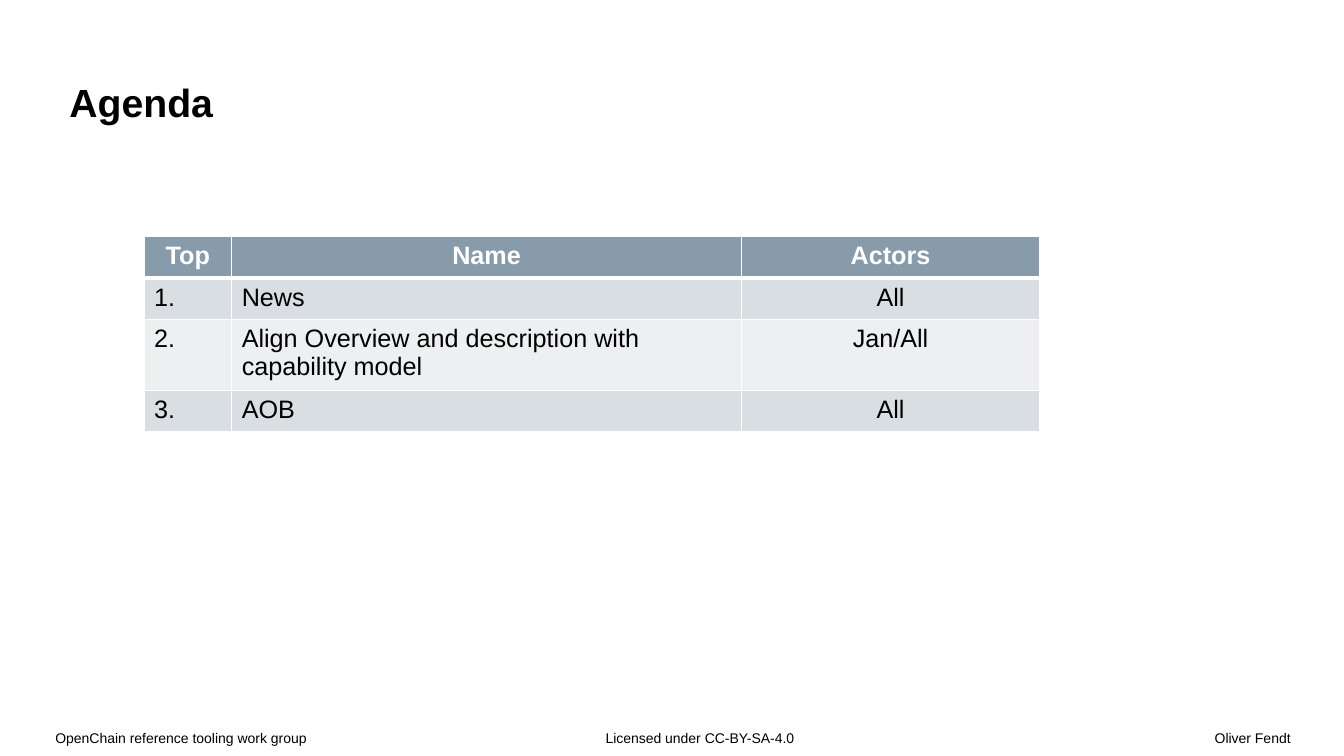
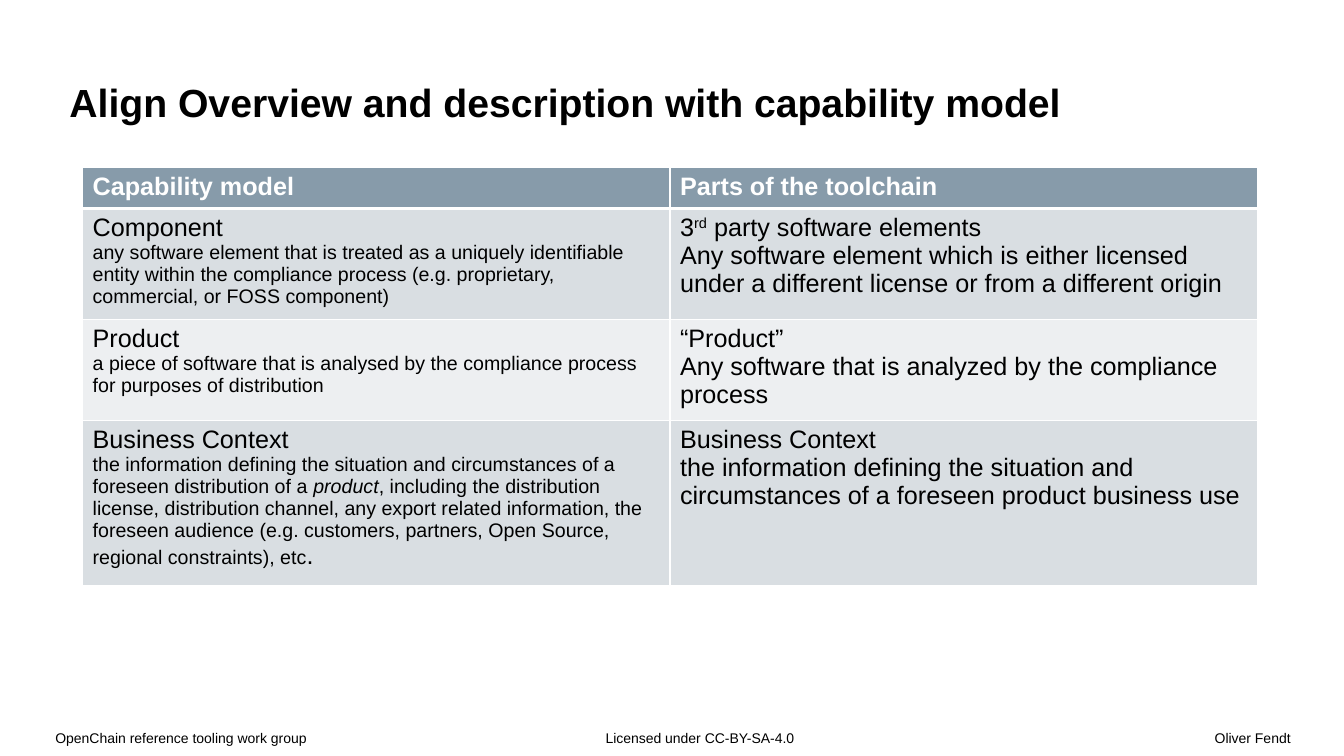
from dataclasses import dataclass

from lxml import etree
from pptx import Presentation
from pptx.dml.color import RGBColor
from pptx.enum.text import MSO_ANCHOR, PP_ALIGN
from pptx.oxml.ns import qn
from pptx.util import Inches, Pt

LEFT, MID, RIGHT = PP_ALIGN.LEFT, PP_ALIGN.CENTER, PP_ALIGN.RIGHT
TOP, BOTTOM = MSO_ANCHOR.TOP, MSO_ANCHOR.BOTTOM


@dataclass(frozen=True)
class Theme:
    font: str = "Arial"
    ink: str = "000000"
    white: str = "FFFFFF"
    head: str = "879BAA"
    bands: tuple = ("D9DEE2", "EDEFF1")
    title: int = 28
    body: int = 18
    small: int = 14
    foot: int = 10
    thin: int = 1
    thick: int = 3


T = Theme()

# Text styles: font values, plus colour and baseline
STYLES = {
    "title": {"size": Pt(T.title), "bold": True},
    "head": {"size": Pt(T.body), "bold": True, "color": T.white},
    "body": {"size": Pt(T.body), "bold": False},
    "small": {"size": Pt(T.small), "bold": False},
    "italic": {"size": Pt(T.small), "bold": False, "italic": True},
    "super": {"size": Pt(T.body), "bold": False, "base": 30000},
    "foot": {"size": Pt(T.foot)},
}

# Footer parts: text, box, side insets, alignment
FOOTS = [
    ("OpenChain reference tooling work group", (0.31, 7.22, 3.4, 0.28), (0.24, 0), LEFT),
    ("Licensed under CC-BY-SA-4.0", (5.32, 7.22, 3.01, 0.28), (0.69, 0), LEFT),
    ("Oliver Fendt", (4.14, 7.22, 9.2, 0.28), (0, 0.53), RIGHT),
]

AGENDA = [
    ["Top", "Name", "Actors"],
    ["1.", "News", "All"],
    ["2.", "Align Overview and description with capability model", "Jan/All"],
    ["3.", "AOB", "All"],
]

# A cell is plain text or a list of paragraphs; a paragraph is text or runs
MODEL = [
    ["Capability model", "Parts of the toolchain"],
    [
        ["Component",
         [("any software element that is treated as a uniquely identifiable entity "
           "within the compliance process (e.g. proprietary, commercial, or FOSS "
           "component)", "small")]],
        [[("3", "body"), ("rd", "super"), (" party software elements", "body")],
         "Any software element which is either licensed under a different license "
         "or from a different origin"],
    ],
    [
        ["Product",
         [("a piece of software that is analysed by the compliance process for "
           "purposes of distribution", "small")]],
        ["“Product”", "Any software that is analyzed by the compliance process"],
    ],
    [
        ["Business Context",
         [("the information defining the situation and circumstances of a foreseen "
           "distribution of a ", "small"),
          ("product", "italic"),
          (", including the distribution license, distribution channel, any export "
           "related information, the foreseen audience (e.g. customers, partners, "
           "Open Source, regional constraints), etc", "small"),
          (".", "body")]],
        ["Business Context",
         "the information defining the situation and circumstances of a foreseen "
         "product business use"],
    ],
]


def add_run(para, text, style):
    run = para.add_run()
    run.text = text
    look = {"name": T.font, **STYLES[style]}
    color, base = look.pop("color", T.ink), look.pop("base", None)
    for key, value in look.items():
        setattr(run.font, key, value)
    run.font.color.rgb = RGBColor.from_string(color)
    if base:
        run.font._element.set("baseline", str(base))


def write(frame, text, style, align=LEFT, space=1.0):
    paras = [text] if isinstance(text, str) else text
    for i, runs in enumerate(paras):
        para = frame.add_paragraph() if i else frame.paragraphs[0]
        para.alignment, para.line_spacing = align, space
        for part, kind in [(runs, style)] if isinstance(runs, str) else runs:
            add_run(para, part, kind)


def add_text(slide, text, box, insets, style, anchor=TOP, **layout):
    frame = slide.shapes.add_textbox(*map(Inches, box)).text_frame
    frame.word_wrap, frame.vertical_anchor = True, anchor
    for side, inset in zip(("left", "top", "right", "bottom"), insets):
        setattr(frame, f"margin_{side}", Inches(inset))
    write(frame, text, style, **layout)


def add_edges(cell, top, low):
    props = cell._tc.get_or_add_tcPr()
    for side, width in zip("LRTB", (T.thin, T.thin, top, low)):
        line = etree.SubElement(props, qn(f"a:ln{side}"), w=str(Pt(width)))
        fill = etree.SubElement(line, qn("a:solidFill"))
        etree.SubElement(fill, qn("a:srgbClr"), val=T.white)


def add_grid(slide, cells, place, cols, rows, heads, aligns):
    size = (sum(cols), sum(rows))
    table = slide.shapes.add_table(
        len(rows), len(cols), *map(Inches, place + size)).table
    table.horz_banding = False
    for col, width in zip(table.columns, cols):
        col.width = Inches(width)
    for r, (row, height) in enumerate(zip(table.rows, rows)):
        row.height = Inches(height)
        fill = T.bands[(r - 1) % 2] if r else T.head
        for c, cell in enumerate(row.cells):
            # The heavy rule lies between the header and the first row
            add_edges(cell, T.thick if r == 1 else T.thin, T.thin if r else T.thick)
            cell.fill.solid()
            cell.fill.fore_color.rgb = RGBColor.from_string(fill)
            write(cell.text_frame, cells[r][c], "body" if r else "head",
                  aligns[c] if r else heads)


def add_page(deck, title):
    slide = deck.slides.add_slide(deck.slide_layouts[6])
    for text, box, (left, right), align in FOOTS:
        add_text(slide, text, box, (left, 0, right, 0.13), "foot",
                 align=align, space=1.1)
    add_text(slide, title, (0, 0, 13.34, 1.39), (0.69, 0.43, 2.32, 0.26),
             "title", BOTTOM)
    return slide


def main():
    deck = Presentation()
    deck.slide_width, deck.slide_height = Inches(13.34), Inches(7.5)

    # Agenda
    page = add_page(deck, "Agenda")
    add_grid(page, AGENDA, (1.43, 2.35), (0.87, 5.06, 2.96),
             (0.41, 0.41, 0.66, 0.41), MID, (LEFT, LEFT, MID))

    # Capability model against toolchain
    page = add_page(deck, "Align Overview and description with capability model")
    add_grid(page, MODEL, (0.82, 1.66), (5.83, 5.83),
             (0.41, 1.04, 0.94, 1.54), LEFT, (LEFT, LEFT))

    deck.save("out.pptx")


if __name__ == "__main__":
    main()
